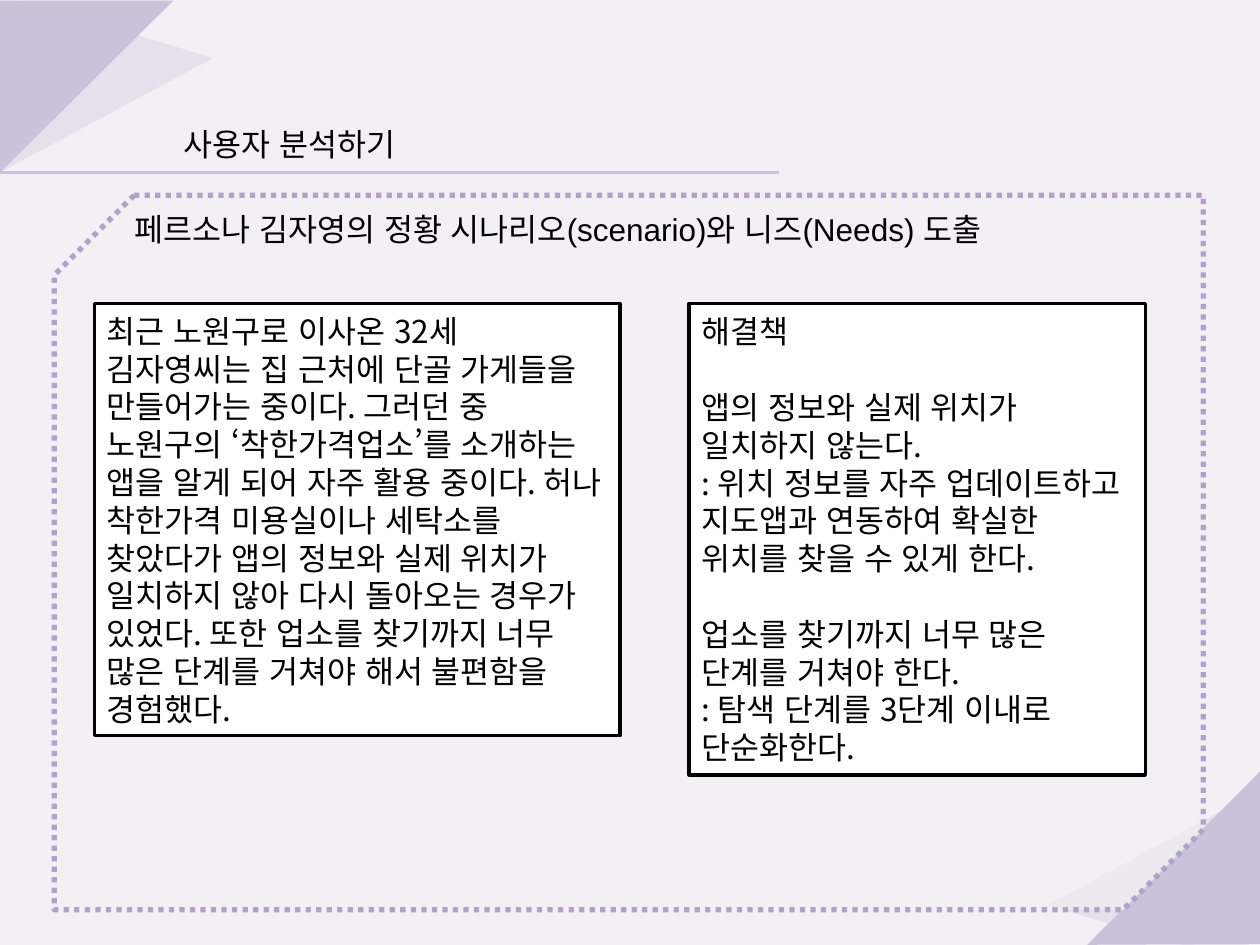
from lxml import etree
from pptx import Presentation
from pptx.dml.color import RGBColor
from pptx.enum.dml import MSO_LINE
from pptx.enum.lang import MSO_LANGUAGE_ID
from pptx.enum.shapes import MSO_CONNECTOR, MSO_SHAPE
from pptx.enum.text import MSO_ANCHOR, PP_ALIGN
from pptx.oxml.ns import qn
from pptx.util import Inches, Pt

TRIANGLE = MSO_SHAPE.ISOSCELES_TRIANGLE
SNIPPED = MSO_SHAPE.SNIP_2_DIAG_RECTANGLE
RECTANGLE = MSO_SHAPE.RECTANGLE
STRAIGHT = MSO_CONNECTOR.STRAIGHT
DOTTED = MSO_LINE.ROUND_DOT
LEFT, MIDDLE = PP_ALIGN.LEFT, MSO_ANCHOR.MIDDLE
KOREAN = MSO_LANGUAGE_ID.KOREAN

PAPER, PALE, LILAC, VIOLET = "F2EFF5", "E6E0EC", "CCC1DA", "B3A2C7"
GREY, WHITE, BLACK = "F2F2F2", "FFFFFF", "000000"
HEADING_FONT, BODY_FONT = "Arial", "Noto Sans CJK KR"
TEXT_SIZE, LINE_PITCH = 18, 21.6
CARD_TOP = 2.41

CORNERS = [
    ((-0.12, 0.19, 1.61, 1.62), 106.6, PALE),
    ((0, 0, 1.37, 1.38), 90, LILAC),
    ((8.51, 5.83, 1.61, 1.62), 286.3, PALE),
    ((8.63, 6.12, 1.37, 1.38), 269.7, LILAC),
]
SCENARIO = [
    ("최근 노원구로 이사온 32세 김자영씨는 집 근처에 단골 가게들을 만들어가는 중이다. "
     "그러던 중 노원구의 ‘착한가격업소’를 소개하는 앱을 알게 되어 자주 활용 중이다. "
     "허나 착한가격 미용실이나 세탁소를 찾았다가 앱의 정보와 실제 위치가 일치하지 않아 "
     "다시 돌아오는 경우가 있었다. 또한 업소를 찾기까지 너무 많은 단계를 거쳐야 해서 "
     "불편함을 경험했다.", 0),
]
# Each paragraph with the number of lines of space above it
SOLUTIONS = [
    ("해결책", 0),
    ("앱의 정보와 실제 위치가 일치하지 않는다.", 1),
    (": 위치 정보를 자주 업데이트하고 지도앱과 연동하여 확실한 위치를 찾을 수 있게 한다.", 0),
    ("업소를 찾기까지 너무 많은 단계를 거쳐야 한다.", 1),
    (": 탐색 단계를 3단계 이내로 단순화한다.", 0),
]


def color(value):
    """Turn a hex string into a colour."""
    return RGBColor.from_string(value)


def add_panel(slide, kind, box, fill, line=None, width=0):
    """Add a flat preset shape with an optional outline."""
    panel = slide.shapes.add_shape(kind, *map(Inches, box))
    panel.shadow.inherit = False
    panel.fill.solid()
    panel.fill.fore_color.rgb = color(fill)
    if line:
        panel.line.color.rgb = color(line)
        panel.line.width = Pt(width)
    else:
        panel.line.fill.background()
    return panel


def add_corner(slide, box, angle, fill):
    """Add a rotated right-angled triangle."""
    corner = add_panel(slide, TRIANGLE, box, fill)
    corner.adjustments[0] = 0
    corner.rotation = angle


def add_rule(slide, length, top):
    """Add the rule below the heading."""
    rule = slide.shapes.add_connector(
        STRAIGHT, 0, Inches(top), Inches(length), Inches(top))
    rule.line.color.rgb = color(LILAC)
    rule.line.width = Pt(1.5)
    etree.SubElement(rule._element.spPr, qn("a:effectLst"))


def add_frame(slide):
    """Add the translucent dotted frame with two cut corners."""
    frame = add_panel(slide, SNIPPED, (0.43, 1.55, 9.12, 5.67), GREY, VIOLET, 3)
    frame.adjustments[0] = 0.112
    frame.adjustments[1] = 0
    frame.line.dash_style = DOTTED
    tint = frame._element.spPr.find(qn("a:solidFill"))[0]
    etree.SubElement(tint, qn("a:alpha"), val="60000")


def write_run(paragraph, text, font):
    """Write one black Korean run."""
    run = paragraph.add_run()
    run.text = text
    run.font.size = Pt(TEXT_SIZE)
    run.font.name = font
    run.font.language_id = KOREAN
    run.font.color.rgb = color(BLACK)
    return run


def add_heading(slide, text, box, wrap):
    """Add a one-line heading."""
    frame = slide.shapes.add_textbox(*map(Inches, box)).text_frame
    frame.word_wrap = wrap
    write_run(frame.paragraphs[0], text, HEADING_FONT)


def add_card(slide, left, width, height, paragraphs):
    """Add an outlined white card holding paragraphs."""
    card = add_panel(slide, RECTANGLE, (left, CARD_TOP, width, height), WHITE, BLACK, 2)
    frame = card.text_frame
    frame.word_wrap = True
    frame.vertical_anchor = MIDDLE
    for index, (text, gap) in enumerate(paragraphs):
        paragraph = frame.add_paragraph() if index else frame.paragraphs[0]
        paragraph.alignment = LEFT
        paragraph.line_spacing = Pt(LINE_PITCH)
        paragraph.space_before = Pt(gap * LINE_PITCH)
        run = write_run(paragraph, text, BODY_FONT)
        latin = run.font._element.find(qn("a:latin"))
        latin.addnext(latin.makeelement(qn("a:ea"), {"typeface": BODY_FONT}))


def main():
    """Build and save the slide."""
    deck = Presentation()
    deck.slide_width, deck.slide_height = Inches(10), Inches(7.5)
    slide = deck.slides.add_slide(deck.slide_layouts[6])
    slide.background.fill.solid()
    slide.background.fill.fore_color.rgb = color(PAPER)
    for box, angle, fill in CORNERS:
        add_corner(slide, box, angle, fill)
    add_rule(slide, 6.18, 1.37)
    add_heading(slide, "사용자 분석하기", (1.36, 0.94, 2.05, 0.4), False)
    add_frame(slide)
    add_heading(slide, "페르소나 김자영의 정황 시나리오(scenario)와 니즈(Needs) 도출",
                (0.97, 1.62, 8.76, 0.4), True)
    add_card(slide, 0.75, 4.17, 3.43, SCENARIO)
    add_card(slide, 5.47, 3.62, 3.74, SOLUTIONS)
    deck.save("out.pptx")


main()
